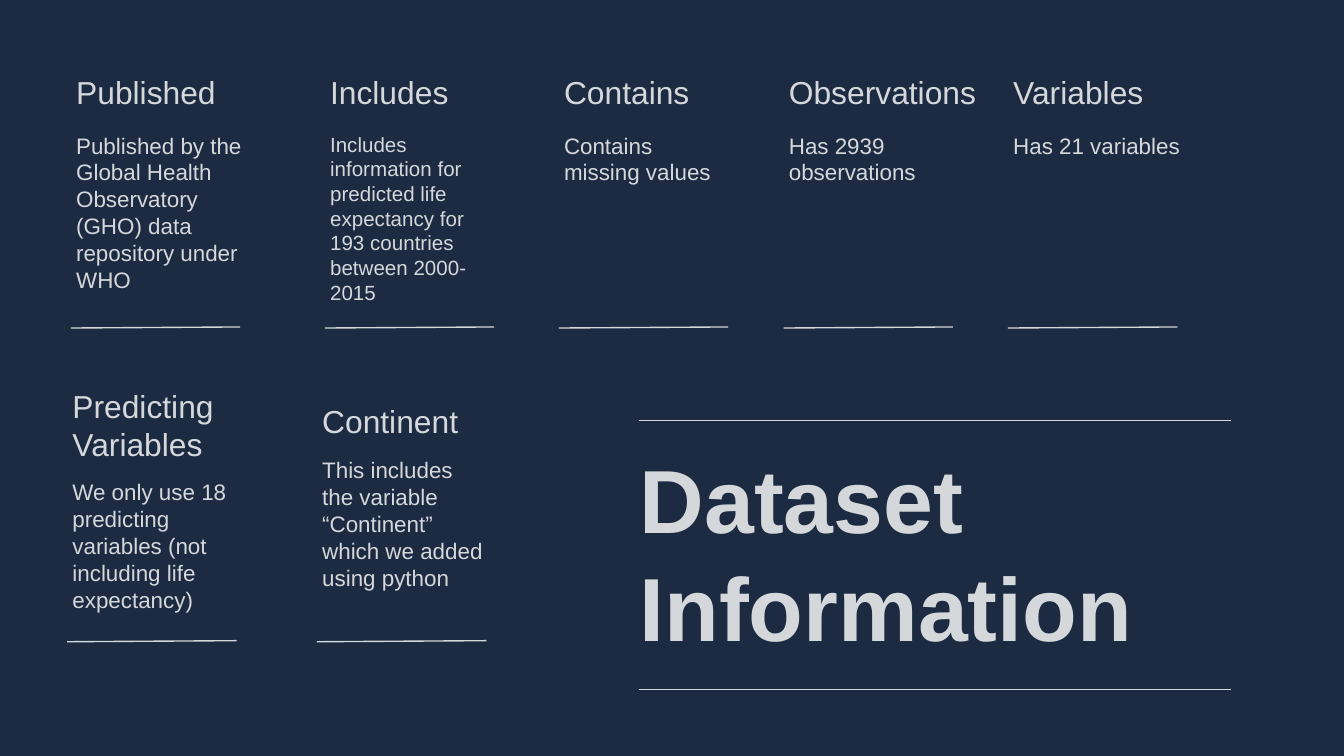
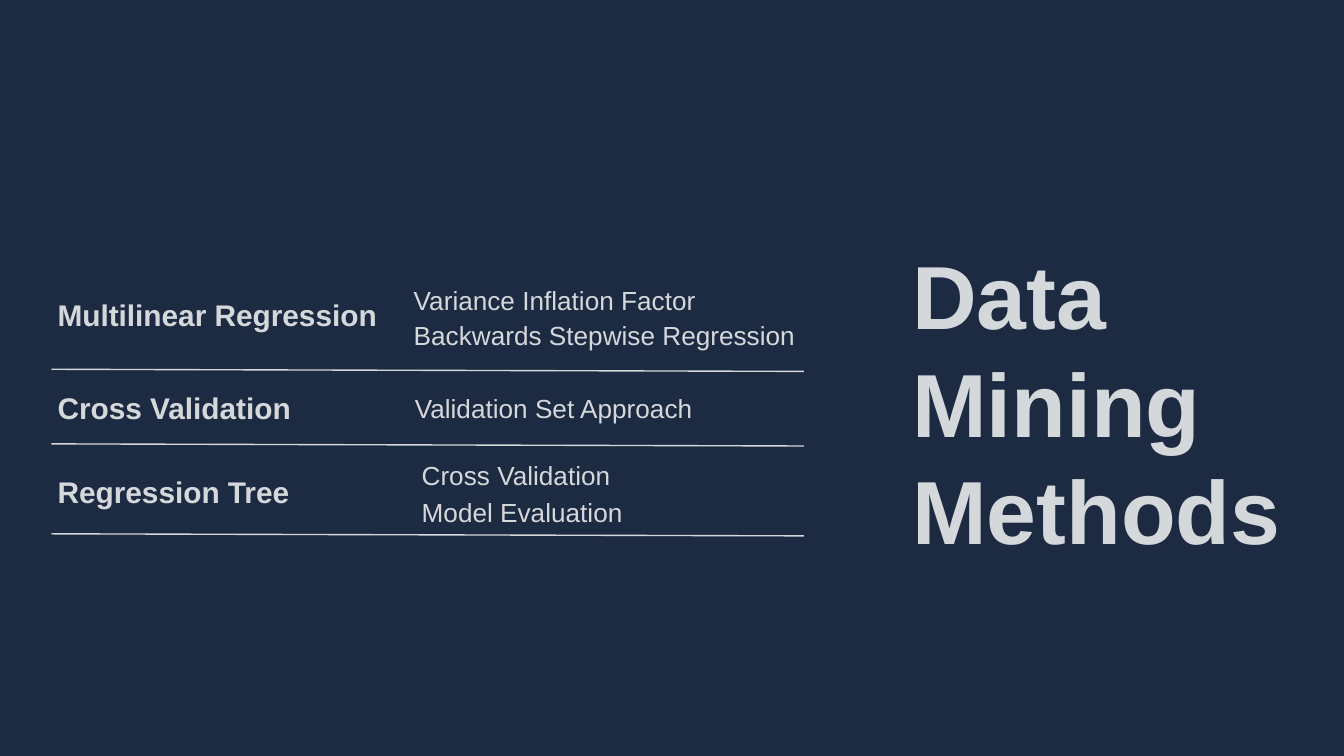
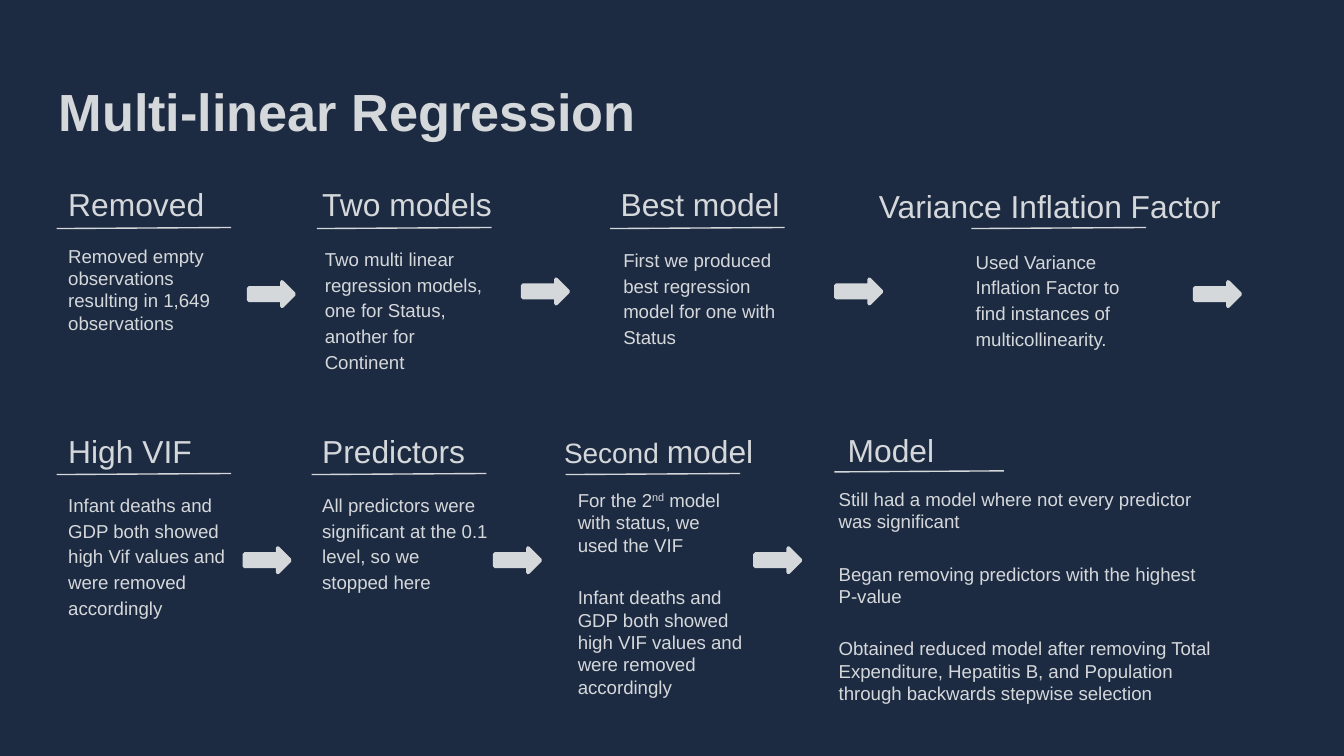
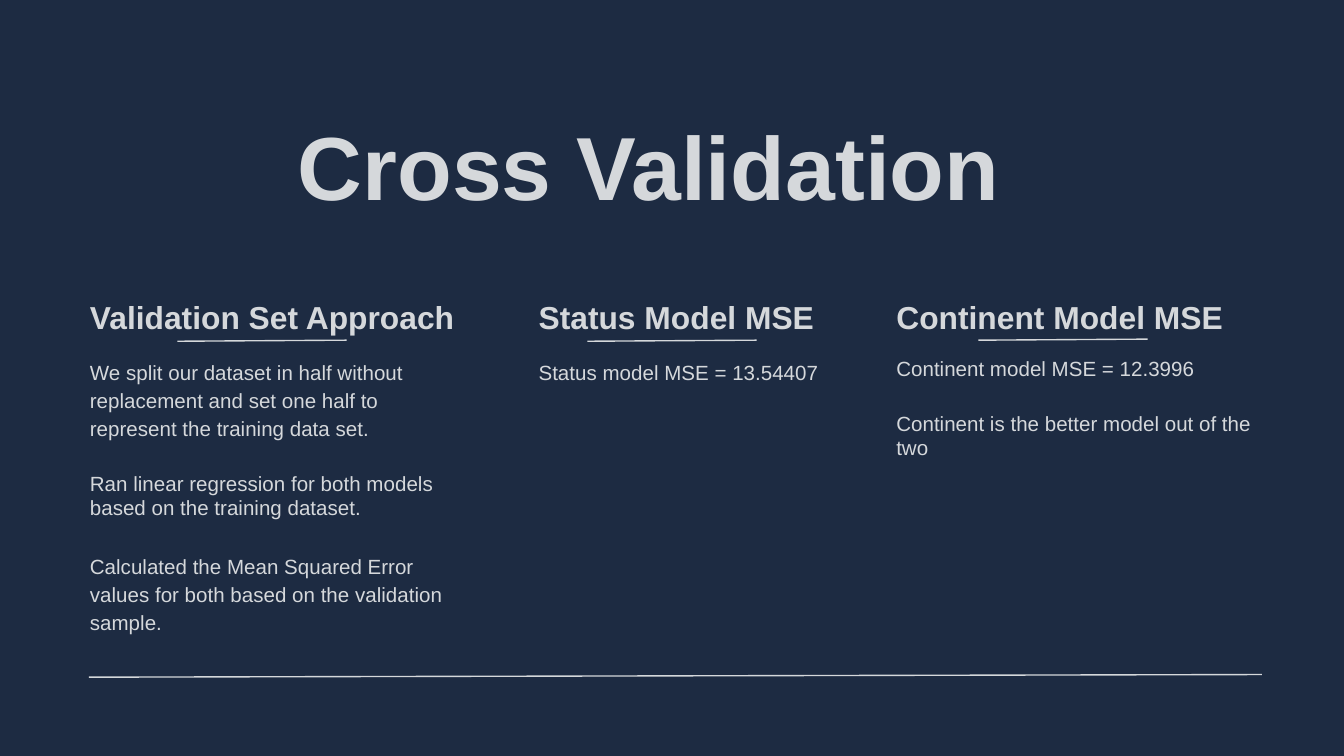
from dataclasses import dataclass

from pptx import Presentation
from pptx.dml.color import RGBColor
from pptx.enum import shapes
from pptx.oxml.ns import qn
from pptx import util as u
from lxml import etree

NAVY = RGBColor(0x1D, 0x2B, 0x42)
SILVER = RGBColor(0xD5, 0xD8, 0xDB)
FONT = "Arial"
INSET = 0.25
RISE = 0.02
HEAD_HEIGHT = 0.74
HEAD_SIZE = 17
PARAGRAPH_GAP = 16


@dataclass
class Card:
    heading: object
    body: list
    left: float
    body_left: float = None
    rule_left: float = None
    head_top: float = None
    body_top: float = None
    rule_top: float = None
    head_width: float = 3.99
    body_width: float = 3.66
    body_height: float = 3.12
    rule_width: float = 3.2
    size: int = 12
    spacing: tuple = (1,)
    bold: bool = False


DATASET_TITLE = ("Dataset Information", 11.84, 8.15, 15.98, 1.6, 48)
DATASET_RULES = (12.07, 23.27, (7.95, 13.03))
DATASET_ROWS = [
    (dict(head_top=1.12, body_top=2.24, rule_top=6.2), [
        dict(heading="Published", left=1.19,
             body=["Published by the Global Health Observatory (GHO) data repository under WHO"]),
        dict(heading="Includes", left=5.99, size=11,
             body=["Includes information for predicted life expectancy for 193 countries "
                   "between 2000-2015"]),
        dict(heading="Contains", left=10.41, body=["Contains missing values"]),
        dict(heading="Observations", left=14.66, head_width=4.55, body=["Has 2939 observations"]),
        dict(heading="Variables", left=18.9, head_width=4.55, body=["Has 21 variables"]),
    ]),
    (dict(rule_top=12.13), [
        dict(heading="Predicting Variables", left=1.12, head_top=7.06, body_top=8.79,
             head_width=5.74,
             body=["We only use 18 predicting variables (not including life expectancy)"]),
        dict(heading="Continent", left=5.84, head_top=7.34, body_top=8.38,
             body=["This includes the variable “Continent” which we added using python"]),
    ]),
]
DATASET_RULE_SHIFT = 0.15

METHODS_TITLE = ("Data Mining Methods", 16.99, 4.29, 8.99, 8.26, 48)
METHODS = [
    ("Multilinear Regression", 5.26, 7.57,
     [("Variance Inflation Factor", 5.13), ("Backwards Stepwise Regression", 5.79)], 6.98),
    ("Cross Validation", 7.01, 7.59, [("Validation Set Approach", 7.16)], 8.39),
    ("Regression Tree", 8.61, 7.72,
     [("Cross Validation", 8.43), ("Model Evaluation", 9.14)], 10.09),
]

REGRESSION_TITLE = ("Multi-linear Regression", 0.86, 1.24, 14.1, 1.6, 28)
REGRESSION_ROWS = [
    (dict(head_top=3.25, body_top=4.37, rule_top=4.32, rule_width=3.3, size=10, spacing=(1.15,)), [
        dict(heading="Removed", left=1.04, rule_left=1.07, spacing=(1,),
             body=["Removed empty observations resulting in 1,649 observations"]),
        dict(heading="Two models", left=5.84, body_left=5.89, rule_left=5.99,
             body=["Two multi linear regression models, one for Status, another for Continent"]),
        dict(heading="Best model", left=11.48, body_left=11.53, rule_left=11.53, body_top=4.39,
             body=["First we produced best regression model for one with Status"]),
        dict(heading="Variance Inflation Factor", left=16.36, body_left=18.19, rule_left=18.36,
             head_top=3.28, body_top=4.42, head_width=7.26, body_height=2.69,
             body=["Used Variance Inflation Factor to find instances of multicollinearity."]),
    ]),
    (dict(head_top=7.92, body_top=9.02, rule_top=8.97, rule_width=3.3, size=10, spacing=(1.15,)), [
        dict(heading="High VIF", left=1.04, rule_left=1.07,
             body=["Infant deaths and GDP both showed high Vif values and were removed accordingly"]),
        dict(heading="Predictors", left=5.84, rule_left=5.89,
             body=["All predictors were significant at the 0.1 level, so we stopped here"]),
        dict(heading=[("Second ", dict(size=15)), ("model", {})], left=10.41, body_left=10.67,
             rule_left=10.69, body_top=8.99, head_width=4.52, spacing=(1, 1),
             body=[[("For the 2", {}), ("nd", dict(raised=True)),
                    (" model with status, we used the VIF", {})],
                   "Infant deaths and GDP both showed high VIF values and were removed accordingly"]),
        dict(heading="Model", left=15.77, body_left=15.6, rule_left=15.77, head_top=7.9,
             body_top=8.97, rule_top=8.92, body_width=7.65, body_height=5.18, rule_width=3.2,
             spacing=(1, 1, 1),
             body=["Still had a model where not every predictor was significant",
                   "Began removing predictors with the highest P-value",
                   "Obtained reduced model after removing Total Expenditure, Hepatitis B, and "
                   "Population through backwards stepwise selection"]),
    ]),
]
ARROWS = [(4.7, 5.33), (9.88, 5.28), (15.8, 5.28), (22.58, 5.33),
          (4.62, 10.36), (9.35, 10.36), (14.27, 10.36)]

VALIDATION_TITLE = ("Cross Validation", 5.38, 1.85, 14.63, 1.6, 48)
VALIDATION_ROWS = [
    (dict(head_top=5.38, body_top=6.48, rule_top=6.45, head_width=7.85, body_width=7.34,
          body_height=5.16, size=11, bold=True), [
        dict(heading="Validation Set Approach", left=1.45, rule_left=3.35, spacing=(1.15, 1, 1.15),
             body=["We split our dataset in half without replacement and set one half to "
                   "represent the training data set.",
                   "Ran linear regression for both models based on the training dataset.",
                   "Calculated the Mean Squared Error values for both based on the "
                   "validation sample."]),
        dict(heading="Status Model MSE", left=9.93, rule_left=11.1, spacing=(1.15,),
             body=["Status model MSE = 13.54407"]),
        dict(heading="Continent Model MSE", left=16.69, rule_left=18.49, rule_top=6.43,
             spacing=(1, 1),
             body=["Continent model MSE = 12.3996",
                   "Continent is the better model out of the two"]),
    ]),
]


def new_page(deck, title):
    page = deck.slides.add_slide(deck.slide_layouts[6])
    page.background.fill.solid()
    page.background.fill.fore_color.rgb = NAVY
    wording, left, top, width, height, size = title
    add_text(page, [wording], left, top, width, height, size, bold=True)
    return page


def add_text(page, paragraphs, left, top, width, height, size, bold=False, spacing=(1,)):
    box = page.shapes.add_textbox(u.Cm(left), u.Cm(top), u.Cm(width), u.Cm(height))
    frame = box.text_frame
    frame.word_wrap = True
    frame.margin_left = frame.margin_right = u.Cm(INSET)
    frame.margin_top = frame.margin_bottom = u.Cm(INSET)
    for index, (spans, line_spacing) in enumerate(zip(paragraphs, spacing)):
        para = frame.add_paragraph() if index else frame.paragraphs[0]
        if index:
            para.space_before = u.Pt(PARAGRAPH_GAP)
        if line_spacing != 1:
            para.line_spacing = line_spacing
        para.font.name = FONT
        para.font.size = u.Pt(size)
        para.font.bold = bold
        para.font.color.rgb = SILVER
        for wording, style in [(spans, {})] if isinstance(spans, str) else spans:
            span = para.add_run()
            span.text = wording
            if "size" in style:
                span.font.size = u.Pt(style["size"])
            if "raised" in style:
                span._r.get_or_add_rPr().set("baseline", "30000")


def add_rule(page, left, top, right, bottom):
    rule = page.shapes.add_connector(
        shapes.MSO_CONNECTOR.STRAIGHT, u.Cm(left), u.Cm(top), u.Cm(right), u.Cm(bottom))
    rule.line.color.rgb = SILVER
    rule.line.width = u.Pt(0.75)
    etree.SubElement(rule._element.spPr, qn("a:effectLst"))


def add_arrow(page, left, top):
    arrow = page.shapes.add_shape(
        shapes.MSO_SHAPE.RIGHT_ARROW, u.Cm(left), u.Cm(top), u.Cm(0.86), u.Cm(0.46))
    arrow.shadow.inherit = False
    arrow.fill.solid()
    arrow.fill.fore_color.rgb = SILVER
    arrow.line.color.rgb = SILVER
    arrow.line.width = u.Pt(2)
    etree.SubElement(arrow.line._get_or_add_ln(), qn("a:round"))


def add_cards(page, rows):
    for shared, cards in rows:
        for details in cards:
            card = Card(**{**shared, **details})
            body_left = card.body_left or card.left
            rule_left = card.rule_left or card.left + DATASET_RULE_SHIFT
            add_text(page, [card.heading], card.left, card.head_top, card.head_width,
                     HEAD_HEIGHT, HEAD_SIZE, card.bold)
            add_text(page, card.body, body_left, card.body_top, card.body_width,
                     card.body_height, card.size, spacing=card.spacing)
            add_rule(page, rule_left, card.rule_top,
                     rule_left + card.rule_width, card.rule_top - RISE)


def build_dataset(deck):
    page = new_page(deck, DATASET_TITLE)
    add_cards(page, DATASET_ROWS)
    left, right, tops = DATASET_RULES
    for top in tops:
        add_rule(page, left, top, right, top)


def build_methods(deck):
    page = new_page(deck, METHODS_TITLE)
    for method, top, detail_left, details, rule_top in METHODS:
        add_text(page, [method], 0.84, top, 7.82, 0.94, 16, bold=True, spacing=(1.15,))
        for detail, detail_top in details:
            add_text(page, [detail], detail_left, detail_top, 9.19, 0.53, 14)
        add_rule(page, 0.97, rule_top, 15.19, rule_top + 0.04)


def build_regression(deck):
    page = new_page(deck, REGRESSION_TITLE)
    add_cards(page, REGRESSION_ROWS)
    for left, top in ARROWS:
        add_arrow(page, left, top)


def build_validation(deck):
    page = new_page(deck, VALIDATION_TITLE)
    add_cards(page, VALIDATION_ROWS)
    add_rule(page, 1.68, 12.8, 23.85, 12.75)


def main():
    deck = Presentation()
    deck.slide_width = u.Cm(25.4)
    deck.slide_height = u.Cm(14.29)
    for build in (build_dataset, build_methods, build_regression, build_validation):
        build(deck)
    deck.save("out.pptx")


if __name__ == "__main__":
    main()
